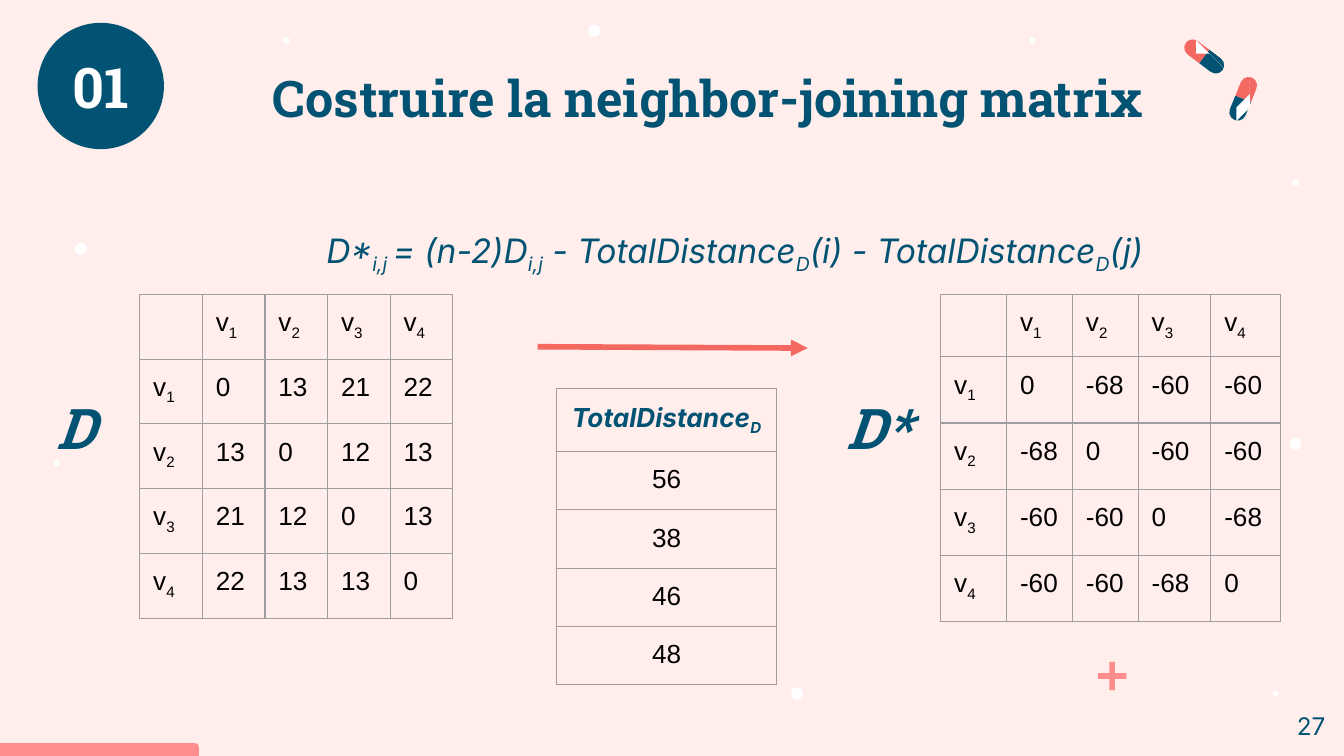
import math
import pptx
import pptx.util
import pptx.dml.color
import pptx.enum.shapes
import pptx.enum.text
import pptx.oxml
import pptx.oxml.ns


class Theme:
    back, navy, coral, pink = "FFEEEB", "025373", "F46862", "FF8D8D"
    white, black, rule = "FFFFFF", "000000", "9E9E9E"
    slab, sans, plain = "Roboto Slab", "Inter", "Arial"
    head, mark, math, cell, page = 27, 30, 18, 14, 13


rgb = pptx.dml.color.RGBColor.from_string
kind = pptx.enum.shapes.MSO_SHAPE
side = pptx.enum.text.PP_ALIGN
mid = pptx.enum.text.MSO_ANCHOR.MIDDLE
top = pptx.enum.text.MSO_ANCHOR.TOP

deck = pptx.Presentation()
deck.slide_width = pptx.util.Inches(10)
deck.slide_height = pptx.util.Inches(5.625)
unit = deck.slide_width / 100


def grid(*steps):
    return [pptx.util.Emu(round(step * unit)) for step in steps]


def write(para, text, font, size, tint, bold=False, slant=False):
    for turn, part in enumerate(text.split("_")):
        if part:
            run = para.add_run()
            run.text = part
            run.font.name = font
            run.font.size = pptx.util.Pt(size)
            run.font.color.rgb = rgb(tint)
            run.font.bold, run.font.italic = bold, slant
            if turn % 2:
                run.font._element.set("baseline", "-25000")


slide = deck.slides.add_slide(deck.slide_layouts[5])
slide.background.fill.solid()
slide.background.fill.fore_color.rgb = rgb(Theme.back)

title = slide.shapes.title
title.left, title.top, title.width, title.height = grid(14.3, 4.2, 79.2, 6.1)
frame = title.text_frame
frame.auto_size = pptx.enum.text.MSO_AUTO_SIZE.NONE
frame.vertical_anchor = mid
frame.margin_left = frame.margin_right = frame.margin_top = frame.margin_bottom = grid(1)[0]
para = frame.paragraphs[0]
para.alignment = side.LEFT
para._p.get_or_add_pPr().set("marL", str(grid(5)[0]))
write(para, "Costruire la neighbor-joining matrix", Theme.slab, Theme.head, Theme.navy, True)

dots = [(94.9, 51.6, 0.4), (96.4, 33, 0.9), (4.2, 34.5, 0.5), (6, 18.5, 0.9), (44.2, 2.3, 0.9),
        (76.8, 3, 0.5), (96.4, 13.6, 0.5), (59.3, 51.6, 0.9), (21.3, 3, 0.5)]
forms = [(kind.OVAL, x, y, wide, wide, Theme.white, 0, None) for x, y, wide in dots]
forms += [
    (kind.CROSS, 82.75, 50.3, 2.1, 2.1, Theme.pink, 0, 0.4),
    (kind.ROUND_1_RECTANGLE, 7.4, 55.77, 14.8, 0.95, Theme.pink, 0, 0.3),
    (kind.OVAL, 7.5, 6.4, 9.4, 9.4, Theme.navy, 0, None),
]
pills = [(89.6, 4.2, -53), (92.5, 7.35, 22)]
half = 1.7
for x, y, lean in pills:
    for tint, turn in ((Theme.navy, lean + 180), (Theme.coral, lean)):
        rad = math.radians(turn)
        forms.append((kind.ROUND_2_SAME_RECTANGLE, x + math.sin(rad) * half / 2,
                      y - math.cos(rad) * half / 2, 1.25, half, tint, turn, 0.5))

for form, x, y, wide, high, tint, turn, bend in forms:
    shape = slide.shapes.add_shape(form, *grid(x - wide / 2, y - high / 2, wide, high))
    shape.shadow.inherit = False
    shape.fill.solid()
    shape.fill.fore_color.rgb = rgb(tint)
    shape.line.fill.background()
    shape.rotation = turn
    if bend is not None:
        shape.adjustments[0] = bend

gleams = [
    [(88.9, 3.4), (89.4, 3.6), (89.9, 3.9), (90.4, 4.4), (90.7, 4.9), (90.2, 4.5), (89.8, 4.1)],
    [(93, 6.4), (93, 7), (92.8, 7.6), (92.6, 8.1), (92.2, 8.6), (92.4, 8.1), (92.8, 7)],
]
for spots in gleams:
    pen = slide.shapes.build_freeform(*spots[0], scale=unit)
    pen.add_line_segments(spots[1:], close=True)
    gleam = pen.convert_to_shape()
    gleam.shadow.inherit = False
    gleam.fill.solid()
    gleam.fill.fore_color.rgb = rgb(Theme.white)
    gleam.line.fill.background()

names = ["v_1", "v_2", "v_3", "v_4"]
dist = [[0, 13, 21, 22], [13, 0, 12, 13], [21, 12, 0, 13], [22, 13, 13, 0]]
join = [[0, -68, -60, -60], [-68, 0, -60, -60], [-60, -60, 0, -68], [-60, -60, -68, 0]]
sums = [["TotalDistance_D"]] + [[sum(line)] for line in dist]
full = [[[""] + names] + [[name] + line for name, line in zip(names, body)] for body in (dist, join)]
plans = [
    (full[0], 10.4, 21.9, [4.66] * 5, [4.82] * 5, side.LEFT),
    (sums, 41.4, 28.9, [16.4], [4.7] + [4.34] * 4, side.CENTER),
    (full[1], 70, 21.9, [4.9, 4.9, 4.9, 5.4, 5.2], [4.65] + [4.93] * 4, side.LEFT),
]
for body, x, y, cols, rows, align in plans:
    box = grid(x, y, sum(cols), sum(rows))
    table = slide.shapes.add_table(len(rows), len(cols), *box).table
    table.first_row = table.horz_banding = False
    for col, wide in zip(table.columns, grid(*cols)):
        col.width = wide
    for row, high, line in zip(table.rows, grid(*rows), body):
        row.height = high
        for cell, item in zip(row.cells, line):
            cell.margin_left = cell.margin_right = cell.margin_top = cell.margin_bottom = grid(1)[0]
            cell.vertical_anchor = top
            cell.fill.background()
            for spot, edge in enumerate(("lnL", "lnR", "lnT", "lnB")):
                cell._tc.get_or_add_tcPr().insert(spot, pptx.oxml.parse_xml(
                    f'<a:{edge} {pptx.oxml.ns.nsdecls("a")} w="9525"><a:solidFill>'
                    f'<a:srgbClr val="{Theme.rule}"/></a:solidFill></a:{edge}>'))
            para = cell.text_frame.paragraphs[0]
            para.alignment = align
            if item == "":
                para._p.get_or_add_endParaRPr().set("sz", str(Theme.cell * 100))
            elif item == "TotalDistance_D":
                write(para, item, Theme.sans, Theme.cell, Theme.navy, True, True)
            else:
                write(para, str(item), Theme.plain, Theme.cell, Theme.black)

x, y, far, low = grid(40, 25.8, 60.1, 25.9)
arrow = slide.shapes.add_connector(pptx.enum.shapes.MSO_CONNECTOR.STRAIGHT, x, y, far, low)
arrow.line.color.rgb = rgb(Theme.coral)
arrow.line.width = pptx.util.Pt(3)
arrow.line._get_or_add_ln().append(
    pptx.oxml.parse_xml(f'<a:tailEnd {pptx.oxml.ns.nsdecls("a")} type="triangle"/>'))
arrow._element.spPr.append(pptx.oxml.parse_xml(f'<a:effectLst {pptx.oxml.ns.nsdecls("a")}/>'))

rule = "D*_i,j _= (n-2)D_i,j_ - TotalDistance_D_(i) - TotalDistance_D_(j)"
notes = [
    ((1.8, 28.3, 7.7, 7.1), "D", Theme.slab, Theme.mark, Theme.navy, True, True, side.CENTER, top),
    ((61.5, 28.3, 7.7, 7.1), "D*", Theme.slab, Theme.mark, Theme.navy, True, True, side.CENTER, top),
    ((23.3, 16.1, 68.9, 5), rule, Theme.sans, Theme.math, Theme.navy, False, True, side.LEFT, top),
    ((2.5, 3.8, 10, 5.2), "01", Theme.slab, Theme.mark, Theme.white, True, False, side.CENTER, mid),
    ((93.6, 51.9, 6, 4.3), "27", Theme.sans, Theme.page, Theme.navy, False, False, side.RIGHT, top),
]
for place, text, font, size, tint, bold, slant, align, hold in notes:
    frame = slide.shapes.add_textbox(*grid(*place)).text_frame
    frame.word_wrap = True
    frame.vertical_anchor = hold
    frame.margin_left = frame.margin_right = frame.margin_top = frame.margin_bottom = grid(1)[0]
    frame.paragraphs[0].alignment = align
    write(frame.paragraphs[0], text, font, size, tint, bold, slant)

deck.save("out.pptx")
